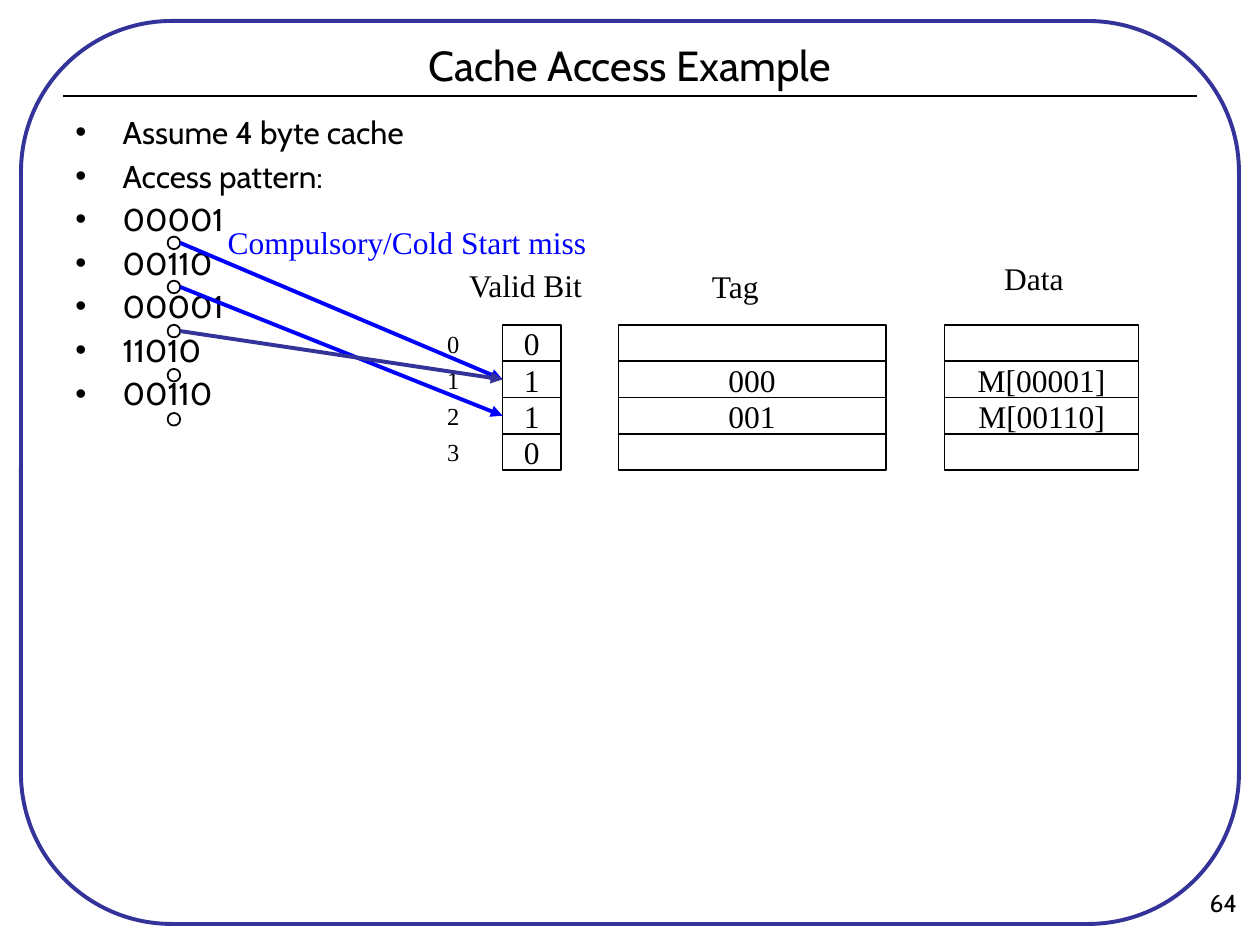
from lxml import etree
from pptx import Presentation
from pptx.dml.color import RGBColor
from pptx.enum.shapes import MSO_CONNECTOR, MSO_SHAPE
from pptx.enum.text import MSO_ANCHOR, PP_ALIGN
from pptx.oxml.ns import qn
from pptx.util import Pt

BLACK = RGBColor(0x00, 0x00, 0x00)
WHITE = RGBColor(0xFF, 0xFF, 0xFF)
BLUE = RGBColor(0x00, 0x00, 0xFF)
NAVY = RGBColor(0x33, 0x33, 0x99)
STRAIGHT = MSO_CONNECTOR.STRAIGHT
RECTANGLE, ROUNDED, OVAL = MSO_SHAPE.RECTANGLE, MSO_SHAPE.ROUNDED_RECTANGLE, MSO_SHAPE.OVAL
TOP, MIDDLE = MSO_ANCHOR.TOP, MSO_ANCHOR.MIDDLE
LEFT, CENTER, RIGHT = PP_ALIGN.LEFT, PP_ALIGN.CENTER, PP_ALIGN.RIGHT
SANS, SERIF = "Cabin", "Times New Roman"
LEFT_SIDE = 1

BULLETS = ["Assume 4 byte cache", "Access pattern:",
           "00001", "00110", "00001", "11010", "00110"]

# Cache columns: left, width, cell texts
ROW_TOP, ROW_HEIGHT = 185.8, 20.7
VALID_COLUMN = (287.2, 33.2, ["0", "1", "1", "0"])
TAG_COLUMN = (353.4, 152.8, ["", "000", "001", ""])
DATA_COLUMN = (539.7, 111, ["", "M[00001]", "M[00110]", ""])

# Labels: text, box, colour
LABELS = [
    ("Valid Bit", (260, 148.5, 80.8, 29), BLACK),
    ("Tag", (398.8, 149, 42.6, 29), BLACK),
    ("Data", (566.6, 144.4, 48.4, 29), BLACK),
    ("Compulsory/Cold Start miss", (122.9, 124, 219.4, 29), BLUE),
]

# Access dots, and arrows as access number, cache row, colour
DOT_LEFT, DOT_TOP, DOT_PITCH, DOT_SIZE = 95.8, 135.2, 25.2, 7.2
ARROWS = [(0, 1, BLUE), (1, 2, BLUE), (2, 1, NAVY)]


def write(frame, lines, size, font, color=BLACK, align=CENTER,
          anchor=TOP, wrap=True, paragraph_format=None):
    frame.word_wrap = wrap
    frame.vertical_anchor = anchor
    for number, line in enumerate(lines):
        paragraph = frame.add_paragraph() if number else frame.paragraphs[0]
        values = {"alignment": align, **(paragraph_format or {})}
        for name, value in values.items():
            setattr(paragraph, name, value)
        run = paragraph.add_run()
        run.text = line
        for name, value in {"size": Pt(size), "name": font}.items():
            setattr(run.font, name, value)
        run.font.color.rgb = color


def add_text(slide, box, lines, size, font, **options):
    text_box = slide.shapes.add_textbox(*map(Pt, box))
    write(text_box.text_frame, lines, size, font, **options)
    return text_box


def add_outlined(slide, kind, box, line_color=BLACK, line_width=1):
    shape = slide.shapes.add_shape(kind, *map(Pt, box))
    shape.shadow.inherit = False
    shape.fill.solid()
    shape.fill.fore_color.rgb = WHITE
    shape.line.color.rgb = line_color
    shape.line.width = Pt(line_width)
    return shape


def add_line(slide, start, end, color, width):
    line = slide.shapes.add_connector(STRAIGHT, *map(Pt, (*start, *end)))
    line.line.color.rgb = color
    line.line.width = Pt(width)
    etree.SubElement(line._element.spPr, qn("a:effectLst"))
    return line


def add_arrow(slide, start, target, color):
    arrow = add_line(slide, start, start, color, 2.25)
    arrow.end_connect(target, LEFT_SIDE)
    etree.SubElement(arrow.line._get_or_add_ln(), qn("a:tailEnd"), type="triangle")


def add_bullets(slide, box, lines):
    body = add_text(slide, box, lines, 18, SANS, align=LEFT,
                    paragraph_format={"space_before": Pt(3.3)})
    for paragraph in body.text_frame.paragraphs:
        properties = paragraph._p.get_or_add_pPr()
        properties.set("marL", str(Pt(27)))
        properties.set("indent", str(-Pt(27)))
        etree.SubElement(properties, qn("a:buFont"), typeface="Arial")
        etree.SubElement(properties, qn("a:buChar"), char="•")


def add_column(slide, left, width, texts):
    cells = []
    for row, text in enumerate(texts):
        box = (left, ROW_TOP + row * ROW_HEIGHT, width, ROW_HEIGHT)
        cell = add_outlined(slide, RECTANGLE, box)
        if text:
            write(cell.text_frame, [text], 18, SERIF, anchor=MIDDLE, wrap=False)
        cells.append(cell)
    return cells


def main():
    deck = Presentation()
    deck.slide_width, deck.slide_height = Pt(720), Pt(540)
    slide = deck.slides.add_slide(deck.slide_layouts[6])

    # Frame, title and page number
    frame = add_outlined(slide, ROUNDED, (12, 12, 696, 516), NAVY, 2.25)
    frame.adjustments[0] = 0.167
    add_line(slide, (36, 54.8), (684, 54.8), BLACK, 1.5)
    add_text(slide, (546, 504, 168, 30), ["64"], 14, SANS, align=RIGHT)
    add_text(slide, (36, 19, 648, 36), ["Cache Access Example"], 24, SANS,
             anchor=MIDDLE)

    # Access pattern
    add_bullets(slide, (36, 61, 648, 436), BULLETS)

    # Cache with row numbers and headings
    for row in range(4):
        add_text(slide, (248.2, ROW_TOP - 1.5 + row * ROW_HEIGHT, 21.6, 24),
                 [str(row)], 14, SERIF, wrap=False)
    valid_cells = add_column(slide, *VALID_COLUMN)
    add_column(slide, *TAG_COLUMN)
    add_column(slide, *DATA_COLUMN)
    for text, box, color in LABELS:
        add_text(slide, box, [text], 18, SERIF, color=color, wrap=False)

    # Accesses and the rows they reach
    for access in range(5):
        add_outlined(slide, OVAL, (DOT_LEFT, DOT_TOP + access * DOT_PITCH,
                                   DOT_SIZE, DOT_SIZE))
    for access, row, color in ARROWS:
        start = (DOT_LEFT + DOT_SIZE,
                 DOT_TOP + access * DOT_PITCH + DOT_SIZE / 2)
        add_arrow(slide, start, valid_cells[row], color)

    deck.save("out.pptx")


if __name__ == "__main__":
    main()
